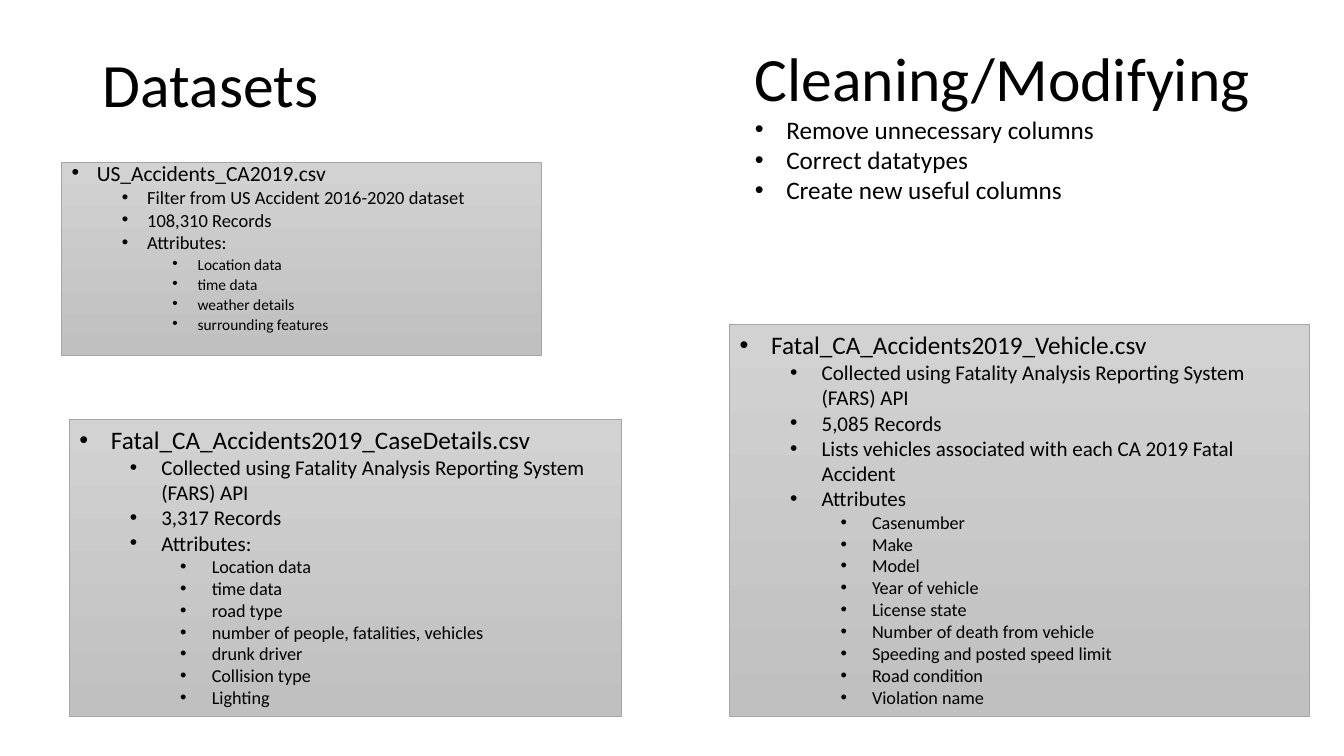
from pptx import Presentation
from pptx.dml.color import RGBColor
from pptx.enum import shapes, text
from pptx.oxml.ns import qn
from pptx.util import Pt
from lxml import etree

TITLE = ("Datasets", (66.24, 28.8, 213.12, 66.96))
ACCIDENTS = [
    (0, "US_Accidents_CA2019.csv"),
    (1, "Filter from US Accident 2016-2020 dataset"),
    (1, "108,310 Records"),
    (1, "Attributes:"),
    (2, "Location data"),
    (2, "time data"),
    (2, "weather details"),
    (2, "surrounding features"),
]
CASE_DETAILS = [
    (0, "Fatal_CA_Accidents2019_CaseDetails.csv"),
    (1, "Collected using Fatality Analysis Reporting System (FARS) API"),
    (1, "3,317 Records"),
    (1, "Attributes:"),
    (2, "Location data"),
    (2, "time data"),
    (2, "road type"),
    (2, "number of people, fatalities, vehicles"),
    (2, "drunk driver"),
    (2, "Collision type"),
    (2, "Lighting"),
]
VEHICLE = [
    (0, "Fatal_CA_Accidents2019_Vehicle.csv"),
    (1, "Collected using Fatality Analysis Reporting System (FARS) API"),
    (1, "5,085 Records"),
    (1, "Lists vehicles associated with each CA 2019 Fatal Accident"),
    (1, "Attributes"),
    (2, "Casenumber"),
    (2, "Make"),
    (2, "Model"),
    (2, "Year of vehicle"),
    (2, "License state"),
    (2, "Number of death from vehicle"),
    (2, "Speeding and posted speed limit"),
    (2, "Road condition"),
    (2, "Violation name"),
]
CLEANING = [
    (None, "Cleaning/Modifying"),
    (0, "Remove unnecessary columns"),
    (0, "Correct datatypes"),
    (0, "Create new useful columns"),
]
ACCIDENTS_AT = (43.92, 115.92, 342.72, 138.24)
CASE_DETAILS_AT = (49.68, 299.52, 393.84, 212.4)
VEHICLE_AT = (521.28, 231.84, 414, 280.08)
CLEANING_AT = (532.08, 25.2, 381.6, 147.6)
FONT = "Calibri"
HEADING_SIZE = 44
BODY_SIZES = (15.4, 13.2, 11)
BOX_SIZES = (18, 15, 13)
LEVEL_STEP = 36


def color(value):
    return RGBColor.from_string(value)


def place(sp, at):
    sp.left, sp.top, sp.width, sp.height = map(Pt, at)


def style(p, size):
    p.alignment = text.PP_ALIGN.LEFT
    for r in p.runs:
        r.font.name = FONT
        r.font.size = Pt(size)
        r.font.color.rgb = color("000000")


def bullet(p, level, hang):
    p.level = level
    pPr = p._p.get_or_add_pPr()
    pPr.set("marL", str(Pt(hang + level * LEVEL_STEP)))
    pPr.set("indent", str(Pt(-hang)))
    etree.SubElement(pPr, qn("a:buFont")).set("typeface", "Arial")
    etree.SubElement(pPr, qn("a:buChar")).set("char", "•")


def write_list(sp, items, sizes, hang, spacing=None, gaps=(0, 0, 0)):
    tf = sp.text_frame
    tf.word_wrap = True
    tf.auto_size = text.MSO_AUTO_SIZE.NONE
    tf.vertical_anchor = text.MSO_ANCHOR.TOP
    for i, (level, words) in enumerate(items):
        p = tf.add_paragraph() if i else tf.paragraphs[0]
        p.text = words
        if level is None:
            style(p, HEADING_SIZE)
            continue
        bullet(p, level, hang)
        p.space_before = Pt(gaps[level] if i else 0)
        if spacing:
            p.line_spacing = spacing
        style(p, sizes[level])


def gray_panel(sp):
    sp.fill.gradient()
    sp.fill.gradient_angle = 270
    for stop, shade in zip(sp.fill.gradient_stops, ("D2D2D2", "C0C0C0")):
        stop.color.rgb = color(shade)
    sp.line.color.rgb = color("A5A5A5")
    sp.line.width = Pt(0.5)
    sp.shadow.inherit = False


prs = Presentation()
prs.slide_width, prs.slide_height = Pt(960), Pt(540)
s = prs.slides.add_slide(prs.slide_layouts[1])

title = s.shapes.title
place(title, TITLE[1])
tf = title.text_frame
tf.text = TITLE[0]
tf.word_wrap = True
tf.auto_size = text.MSO_AUTO_SIZE.NONE
tf.vertical_anchor = text.MSO_ANCHOR.MIDDLE
tf.paragraphs[0].line_spacing = 0.9
style(tf.paragraphs[0], HEADING_SIZE)

body = s.placeholders[1]
place(body, ACCIDENTS_AT)
gray_panel(body)
write_list(body, ACCIDENTS, BODY_SIZES, 18, 0.7, (10, 5, 5))

for items, at in ((CASE_DETAILS, CASE_DETAILS_AT), (VEHICLE, VEHICLE_AT)):
    sp = s.shapes.add_shape(shapes.MSO_SHAPE.RECTANGLE, *map(Pt, at))
    gray_panel(sp)
    write_list(sp, items, BOX_SIZES, 22.5)

cleaning = s.shapes.add_textbox(*map(Pt, CLEANING_AT))
write_list(cleaning, CLEANING, BOX_SIZES, 22.5)

prs.save("out.pptx")
